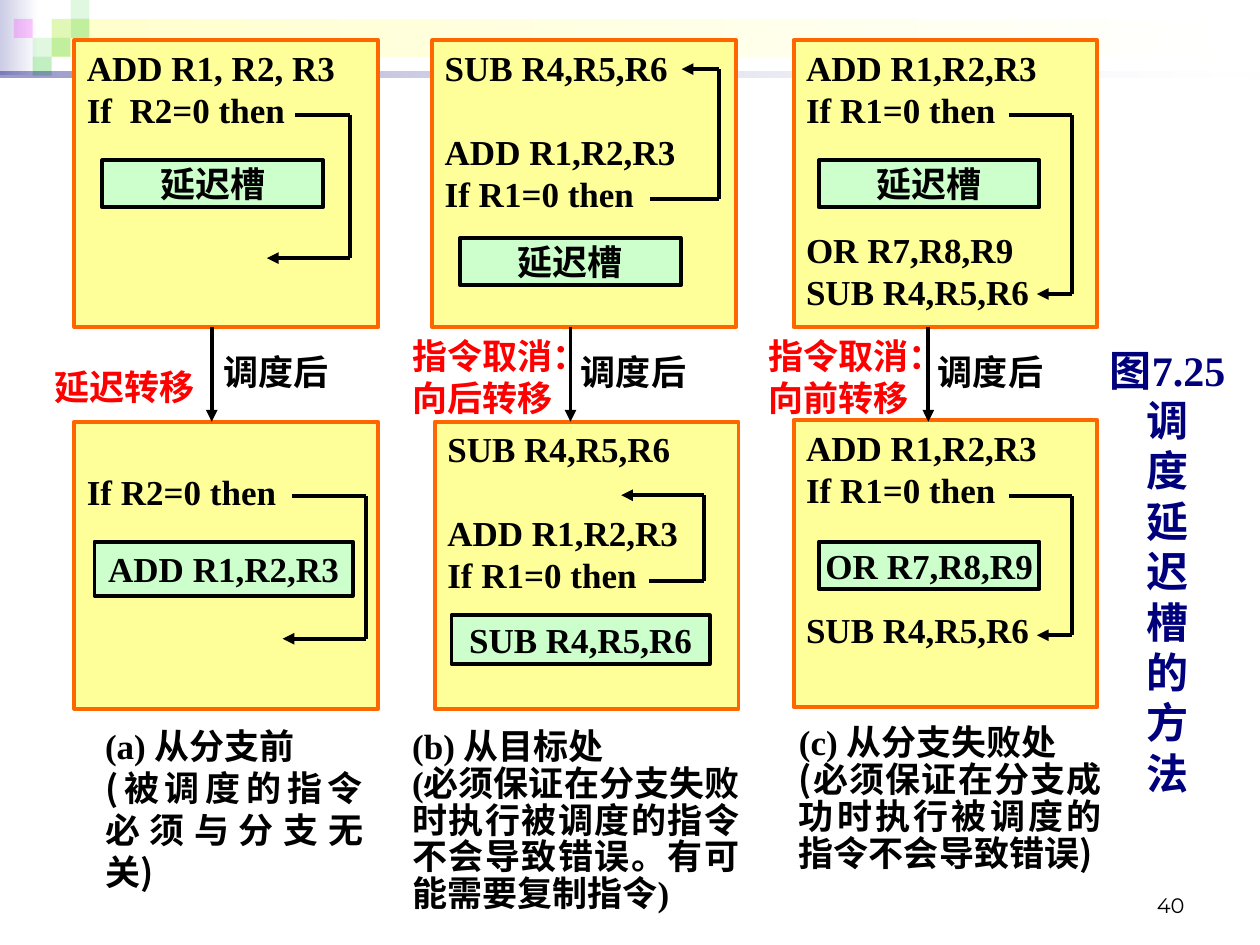
from dataclasses import dataclass

from lxml import etree
from pptx import Presentation
from pptx import util as u
from pptx.dml.color import RGBColor
from pptx.enum import shapes, text
from pptx.oxml.ns import qn

Pt = u.Pt
SERIF, SANS = "Times New Roman", "Noto Sans CJK SC"
BLACK, RED, NAVY, GREEN = "000000", "FF0000", "00007D", "33CC33"
MID, RIGHT, JUST = (text.PP_ALIGN.CENTER, text.PP_ALIGN.RIGHT,
                    text.PP_ALIGN.JUSTIFY)
TOP, CENTRE, BASE = (text.MSO_ANCHOR.TOP, text.MSO_ANCHOR.MIDDLE,
                     text.MSO_ANCHOR.BOTTOM)


@dataclass
class Line:
    words: tuple[str, ...]
    gap: float = 0
    pitch: float = 24


@dataclass
class Style:
    size: float = 20
    colour: str = BLACK
    align: int = JUST
    anchor: int = TOP
    font: str = SERIF
    bold: bool = True


@dataclass
class Box:
    """A framed code box, with its green delay slot."""
    at: tuple[float, float, float, float]
    lines: list[Line]
    slot: tuple[float, float, float, float]
    label: str
    lead: float = 0


def row(*words: str, gap: float = 0, pitch: float = 24) -> Line:
    return Line(words, gap, pitch)


def rgb(code: str) -> RGBColor:
    return RGBColor.from_string(code)


def fade(node, share: float) -> None:
    """Set the opacity, in percent, of a colour element."""
    etree.SubElement(node, qn("a:alpha"), val=str(int(share * 1000)))


def write(shape, lines: list[Line], style: Style, pad=(0, 0, 0, 0)) -> None:
    frame = shape.text_frame
    left, top, right, base = map(Pt, pad)
    form = {"word_wrap": True, "auto_size": text.MSO_AUTO_SIZE.NONE,
            "vertical_anchor": style.anchor, "margin_left": left,
            "margin_top": top, "margin_right": right, "margin_bottom": base}
    for key, value in form.items():
        setattr(frame, key, value)
    for i, line in enumerate(lines):
        para = frame.add_paragraph() if i else frame.paragraphs[0]
        form = {"alignment": style.align, "line_spacing": Pt(line.pitch),
                "space_before": Pt(line.gap), "space_after": Pt(0)}
        for key, value in form.items():
            setattr(para, key, value)
        for word in line.words:
            run = para.add_run()
            run.text = word
            form = {"size": Pt(style.size), "bold": style.bold,
                    "name": SANS if word in ("(", ")") else style.font}
            for key, value in form.items():
                setattr(run.font, key, value)
            run.font.color.rgb = rgb(style.colour)
            etree.SubElement(run.font._element, qn("a:ea"), typeface=SANS)


def rect(slide, at, fill: str, edge: str = ""):
    shape = slide.shapes.add_shape(shapes.MSO_SHAPE.RECTANGLE, *map(Pt, at))
    shape.shadow.inherit = False
    shape.fill.solid()
    shape.fill.fore_color.rgb = rgb(fill)
    if edge:
        shape.line.color.rgb = rgb(edge)
        shape.line.width = Pt(2.25)
    else:
        shape.line.fill.background()
    return shape


def tint(slide, at, fill: str, share: float) -> None:
    shape = rect(slide, at, fill)
    fade(shape.fill._xPr.find(".//" + qn("a:srgbClr")), share)


def blend(slide, at, first: str, last: str, shares=(100, 100)) -> None:
    """Draw a bar that runs from one colour to another, left to right."""
    fill = rect(slide, at, first).fill
    fill.gradient()
    fill.gradient_angle = 0
    for stop, code in zip(fill.gradient_stops, (first, last)):
        stop.color.rgb = rgb(code)
    nodes = fill._xPr.findall(qn("a:gradFill") + "//" + qn("a:srgbClr"))
    for node, share in zip(nodes, shares):
        fade(node, share)


def label(slide, at, lines: list[Line], style: Style) -> None:
    write(slide.shapes.add_textbox(*map(Pt, at)), lines, style)


def trail(slide, *spots: tuple[float, float]) -> None:
    """Join the spots by straight lines, with a head at the last one."""
    for i, (start, end) in enumerate(zip(spots, spots[1:]), 2):
        wire = slide.shapes.add_connector(
            shapes.MSO_CONNECTOR.STRAIGHT, *map(Pt, start + end))
        wire.line.color.rgb = rgb(BLACK)
        wire.line.width = Pt(2.25)
        if i == len(spots):
            etree.SubElement(wire.line._get_or_add_ln(), qn("a:tailEnd"),
                             type="triangle")
        etree.SubElement(wire._element.spPr, qn("a:effectLst"))


def hook(slide, start, side: float, end) -> None:
    trail(slide, start, (side, start[1]), (side, end[1]), end)


def frame(slide, box: Box) -> None:
    write(rect(slide, box.at, "FFFF99", "FF6600"), box.lines, Style(),
          (7.2, 3.6 + box.lead, 7.2, 3.6))
    write(rect(slide, box.slot, "CCFFCC", BLACK), [row(box.label)],
          Style(align=MID, anchor=CENTRE))


def decor(slide) -> None:
    blend(slide, (0, 0, 22, 43), "CCCCE6", "FFFFFF")
    blend(slide, (29.5, 11, 687.5, 21.5), "FFFFCC", "FFFFFF")
    side = 10.8
    for col, line, code, share in (
            (2, 1, GREEN, 15), (3, 0, GREEN, 15), (3, 1, GREEN, 30),
            (1, 2, GREEN, 15), (0, 1, "FF00FF", 20), (2, 2, GREEN, 30),
            (1, 3, GREEN, 30)):
        tint(slide, (7.9 + col * side, line * side, side, side), code, share)
    blend(slide, (0, 41, 720, 3.6), NAVY, "FFFFFF", (40, 10))


def main() -> None:
    deck = Presentation()
    deck.slide_width, deck.slide_height = Pt(720), Pt(540)
    slide = deck.slides.add_slide(deck.slide_layouts[5])
    decor(slide)

    title = slide.shapes.title
    place = zip(("left", "top", "width", "height"), (629, 181.5, 76.5, 289.5))
    for key, value in place:
        setattr(title, key, Pt(value))
    write(title, [row(word, pitch=28.8) for word in ("图7.25", *"调度延迟槽的方法")],
          Style(24, NAVY, MID, CENTRE))

    add, sub, orr = "ADD R1,R2,R3", "SUB R4,R5,R6", "OR R7,R8,R9"
    test, slot = "If R1=0 then", "延迟槽"
    wide, high = 173.5, 164
    loop = [row(sub), row(add, gap=24), row(test)]
    for box in (
            Box((42.5, 23, wide, high),
                [row("ADD R1, R2, R3"), row("If  R2=0 then")],
                (58.5, 91.5, 126, 27), slot),
            Box((247, 23, wide, high), loop, (263, 136, 126, 27), slot),
            Box((453.5, 23, wide, high),
                [row(add), row(test), row(orr, gap=56), row(sub)],
                (468, 91.5, 126, 27), slot),
            Box((42.5, 241, wide, high), [row("If R2=0 then")],
                (54, 309.5, 147.5, 31), add, 24),
            Box((248.5, 241, wide, high), loop, (258, 351.5, 147.5, 28), sub),
            Box((453.5, 240, wide, high),
                [row(add), row(test), row(sub, gap=56)],
                (468, 309.5, 126, 27), orr)):
        frame(slide, box)

    for start, side, end in (
            ((168.5, 65.5), 200, (152.5, 147.5)),
            ((371.5, 113.5), 411, (389.5, 39.5)),
            ((576.5, 65.5), 612.5, (592.5, 168)),
            ((167, 283.5), 209, (161.5, 365)),
            ((371, 332), 402.5, (355, 283)),
            ((576.5, 283.5), 612.5, (592.5, 363))):
        hook(slide, start, side, end)

    for x, left in ((121, 127.5), (326, 332), (530.5, 536)):
        trail(slide, (x, 187), (x, 241))
        label(slide, (left, 200, 63.5, 27), [row("调度后")], Style())

    for at, lines in (
            ((31, 209, 96.5, 27), ["延迟转移"]),
            ((235.5, 191, 124.5, 57), ["指令取消：", "向后转移"]),
            ((439, 191, 124.5, 57), ["指令取消：", "向前转移"])):
        label(slide, at, [row(word) for word in lines], Style(colour=RED))

    for at, head, note in (
            ((60, 414, 147.5, 80), "(a) 从分支前",
             row("(", "被调度的指令必须与分支无关", ")")),
            ((235.5, 414, 187, 106), "(b) 从目标处",
             row("(必须保证在分支失败时执行被调度的指令不会导致错误。"
                 "有可能需要复制指令)", pitch=21)),
            ((456.5, 412, 173, 88), "(c) 从分支失败处",
             row("(", "必须保证在分支成功时执行被调度的指令不会导致错误", ")",
                 pitch=21))):
        label(slide, at, [row(head), note], Style())

    label(slide, (516, 492, 161, 32.5), [row("40", pitch=14.4)],
          Style(12, BLACK, RIGHT, BASE, "Montserrat", False))
    deck.save("out.pptx")


if __name__ == "__main__":
    main()
